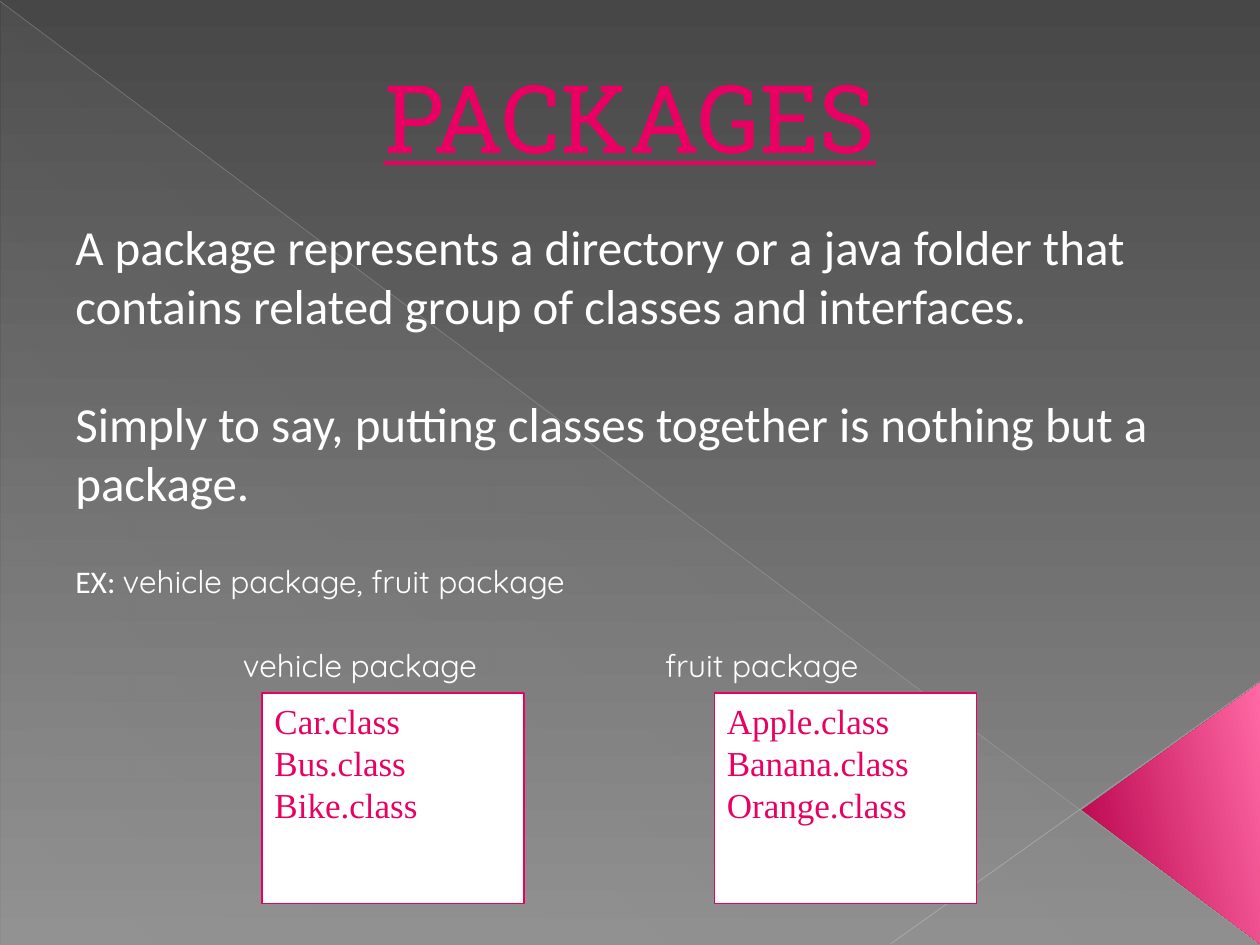
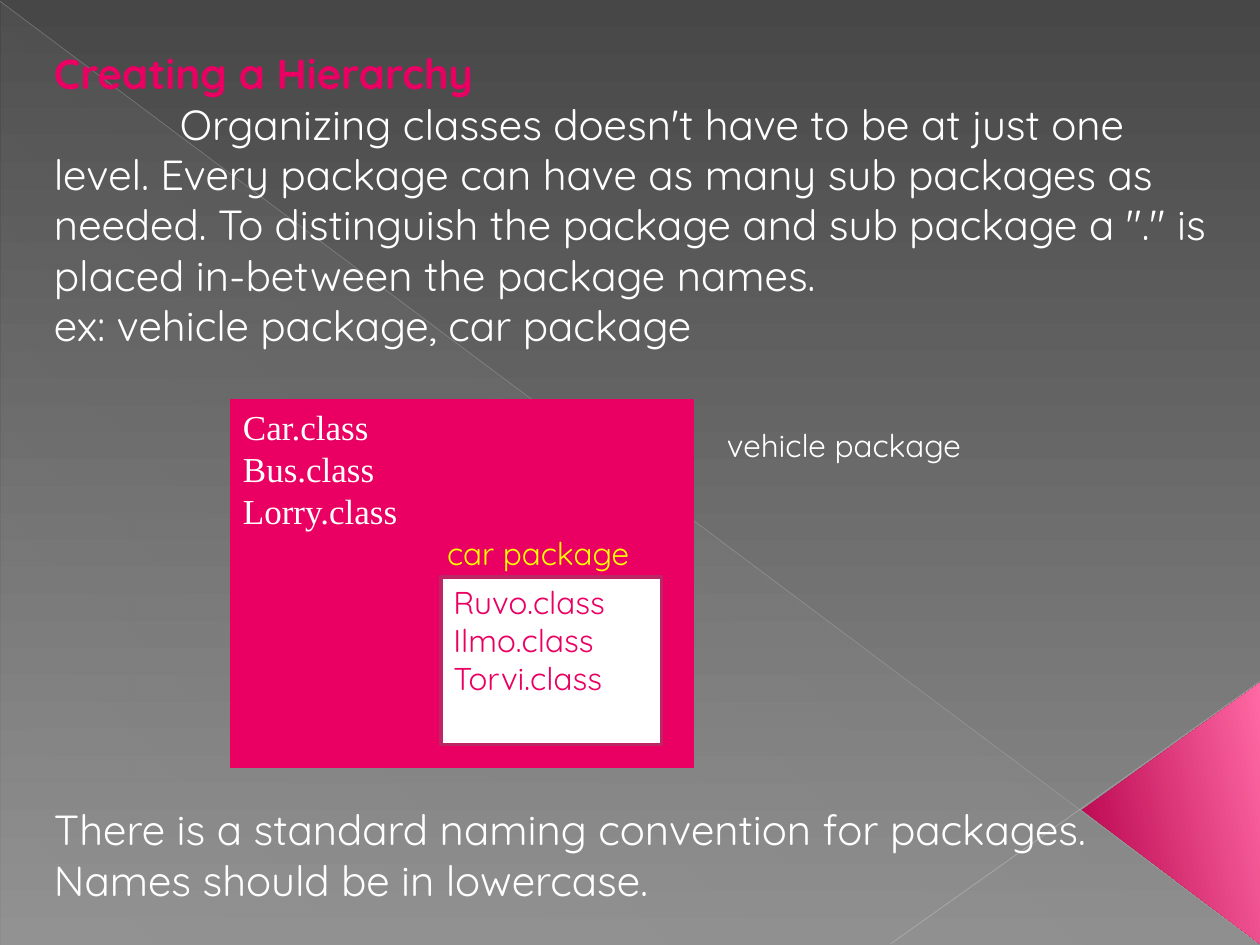
from lxml import etree
from pptx import Presentation
from pptx.dml.color import RGBColor
from pptx.enum.shapes import MSO_CONNECTOR, MSO_SHAPE
from pptx.enum.text import MSO_ANCHOR, PP_ALIGN
from pptx.oxml.ns import qn
from pptx.util import Inches, Pt

CENTER, LEFT = PP_ALIGN.CENTER, PP_ALIGN.LEFT
TOP = MSO_ANCHOR.TOP
STRAIGHT = MSO_CONNECTOR.STRAIGHT
RECTANGLE = MSO_SHAPE.RECTANGLE
TRIANGLE = MSO_SHAPE.ISOSCELES_TRIANGLE
RIGHT_TRIANGLE = MSO_SHAPE.RIGHT_TRIANGLE

PINK, WHITE, YELLOW, PLUM = "E90062", "FFFFFF", "FFFF00", "BC2665"
BODY, ROUND, SLAB, SERIF = "Calibri", "Quicksand", "Roboto Slab", "Times New Roman"


def color(hex_string):
    """Turn a hex string into a colour."""
    return RGBColor.from_string(hex_string)


def inches(*lengths):
    """Convert several lengths to inches."""
    return [Inches(length) for length in lengths]


def set_gradient(fill, start, end, angle):
    """Apply a two-stop gradient whose angle runs clockwise."""
    fill.gradient()
    fill.gradient_angle = 360 - angle
    for stop, hex_string in zip(fill.gradient_stops, (start, end)):
        stop.color.rgb = color(hex_string)


def set_opacity(element, *percents):
    """Give each colour below the element its opacity in percent."""
    for node, percent in zip(list(element.iter(qn("a:srgbClr"))), percents):
        etree.SubElement(node, qn("a:alpha")).set("val", str(percent * 1000))


def add_plain_shape(slide, kind, box):
    """Add a preset shape without shadow or outline."""
    shape = slide.shapes.add_shape(kind, *inches(*box))
    shape.shadow.inherit = False
    shape.line.fill.background()
    return shape


def add_hairline(slide, ends, hex_string, width, opacity):
    """Add a thin translucent line."""
    line = slide.shapes.add_connector(STRAIGHT, *inches(*ends))
    line.line.color.rgb = color(hex_string)
    line.line.width = Pt(width)
    properties = line._element.spPr
    set_opacity(properties, opacity)
    etree.SubElement(properties, qn("a:effectLst"))


def add_backdrop(slide):
    """Draw the sheen, diagonals and pink corner every slide shares."""
    sheen = add_plain_shape(slide, RIGHT_TRIANGLE, (0.01, 0.02, 9.99, 7.48))
    set_gradient(sheen.fill, "D2D2D2", "D2D2D2", 133)
    set_opacity(sheen._element.spPr, 1, 10)
    add_hairline(slide, (0, 0.01, 9.99, 7.49), "BFBFBF", 0.4, 35)
    add_hairline(slide, (10, 5.41, 7.07, 7.49), "C6C6C6", 0.48, 45)
    corner = add_plain_shape(slide, TRIANGLE, (8.26, 5.75, 2.07, 1.41))
    corner.rotation = 270
    corner.adjustments[0] = 0.513
    set_gradient(corner.fill, "B6004A", "FF69A4", 348)
    corner._element.spPr.find(qn("a:gradFill")).set("rotWithShape", "0")


def add_paragraph(frame, text, size, font_name, hex_string, bold=False,
                  align=LEFT, before=0, margin=0, indent=0):
    """Write the next paragraph of a text frame."""
    is_first = len(frame.paragraphs) == 1 and not frame.paragraphs[0].runs
    paragraph = frame.paragraphs[0] if is_first else frame.add_paragraph()
    paragraph.text = text
    paragraph.alignment = align
    if before:
        paragraph.space_before = Pt(before)
    properties = paragraph._p.get_or_add_pPr()
    properties.set("marL", str(Inches(margin)))
    properties.set("indent", str(Inches(indent)))
    font = paragraph.font
    font.size, font.name, font.bold = Pt(size), font_name, bold
    font.color.rgb = color(hex_string)
    return paragraph


def add_text_frame(slide, box):
    """Add a wrapping text box and return its frame."""
    frame = slide.shapes.add_textbox(*inches(*box)).text_frame
    frame.word_wrap = True
    return frame


def add_label(slide, left, top, text):
    """Name a package in a small text box."""
    frame = add_text_frame(slide, (left, top, 2.9, 0.4))
    add_paragraph(frame, text, 18, ROUND, WHITE)


def add_class_box(slide, box, names, size, font_name, text_color,
                  fill, outline=PINK, width=0.75):
    """Draw a package as a rectangle that lists its classes."""
    shape = add_plain_shape(slide, RECTANGLE, box)
    shape.fill.solid()
    shape.fill.fore_color.rgb = color(fill)
    shape.line.color.rgb = color(outline)
    shape.line.width = Pt(width)
    frame = shape.text_frame
    frame.word_wrap = True
    frame.vertical_anchor = TOP
    for name in names:
        add_paragraph(frame, name, size, font_name, text_color)
    return frame


def add_definition(slide, box):
    """Write what a package is, with an example line."""
    frame = add_text_frame(slide, box)
    add_paragraph(frame, "A package represents a directory or a java folder that "
                  "contains related group of classes and interfaces.",
                  28, BODY, WHITE)
    add_paragraph(frame, "Simply to say, putting classes together is nothing "
                  "but a package.", 28, BODY, WHITE, before=34)
    example = add_paragraph(frame, "EX: ", 18, BODY, WHITE, before=29)
    run = example.add_run()
    run.text = "vehicle package, fruit package"
    run.font.name = ROUND


def add_example_packages(slide, box):
    """Show two packages side by side under their labels."""
    left, top, _, height = box
    packages = (
        ("vehicle package", 0, 0.25, ("Car.class", "Bus.class", "Bike.class")),
        ("fruit package", 3.35, 3.84, ("Apple.class", "Banana.class", "Orange.class")),
    )
    for label, label_offset, box_offset, names in packages:
        add_label(slide, left + label_offset, top, label)
        package = (left + box_offset, top + 0.42, 2.08, height - 0.42)
        add_class_box(slide, package, names, 20, SERIF, PINK, WHITE)


def add_hierarchy_text(slide, box):
    """Explain sub packages."""
    frame = add_text_frame(slide, box)
    add_paragraph(frame, "Creating a Hierarchy", 24, ROUND, PINK, bold=True)
    add_paragraph(frame, "Organizing classes doesn't have to be at just one level. "
                  "Every package can have as many sub packages as needed. "
                  "To distinguish the package and sub package a \".\" is placed "
                  "in-between the package names.", 24, ROUND, WHITE, indent=1)
    add_paragraph(frame, "ex: vehicle package, car package", 24, ROUND, WHITE)


def add_nested_packages(slide, box):
    """Show the car package inside the vehicle package."""
    left, top, width, _ = box
    add_label(slide, left + width + 0.17, top + 0.16, "vehicle package")
    outer = add_class_box(slide, box, ("Car.class", "Bus.class", "Lorry.class"),
                          20, SERIF, WHITE, PINK)
    add_paragraph(outer, "car package", 18, ROUND, YELLOW, before=1.5, margin=1.62)
    inner = (left + 1.67, top + 1.41, 1.75, 1.33)
    add_class_box(slide, inner, ("Ruvo.class", "Ilmo.class", "Torvi.class"),
                  18, ROUND, PINK, WHITE, PLUM, 2)


def build_packages_slide(slide):
    """Build the slide that introduces packages."""
    add_backdrop(slide)
    title = add_text_frame(slide, (0.25, 0.42, 9.5, 1))
    heading = add_paragraph(title, "PACKAGES", 54, SLAB, PINK, align=CENTER)
    heading.font.underline = True
    add_definition(slide, (0.5, 1.67, 9.17, 3.44))
    add_example_packages(slide, (1.83, 5.08, 6.25, 2.09))


def build_hierarchy_slide(slide):
    """Build the slide about package hierarchies."""
    add_backdrop(slide)
    add_hierarchy_text(slide, (0.33, 0.33, 9.42, 2.5))
    add_nested_packages(slide, (1.83, 3.17, 3.67, 2.92))
    note = add_text_frame(slide, (0.33, 6.33, 9.42, 0.9))
    add_paragraph(note, "There is a standard naming convention for packages. "
                  "Names should be in lowercase.", 24, ROUND, WHITE)


def main():
    """Build and save the presentation."""
    presentation = Presentation()
    presentation.slide_width, presentation.slide_height = inches(10, 7.5)
    set_gradient(presentation.slide_master.background.fill, "474747", "8C8C8C", 90)
    blank_layout = presentation.slide_layouts[6]
    for build in (build_packages_slide, build_hierarchy_slide):
        build(presentation.slides.add_slide(blank_layout))
    presentation.save("out.pptx")


if __name__ == "__main__":
    main()
